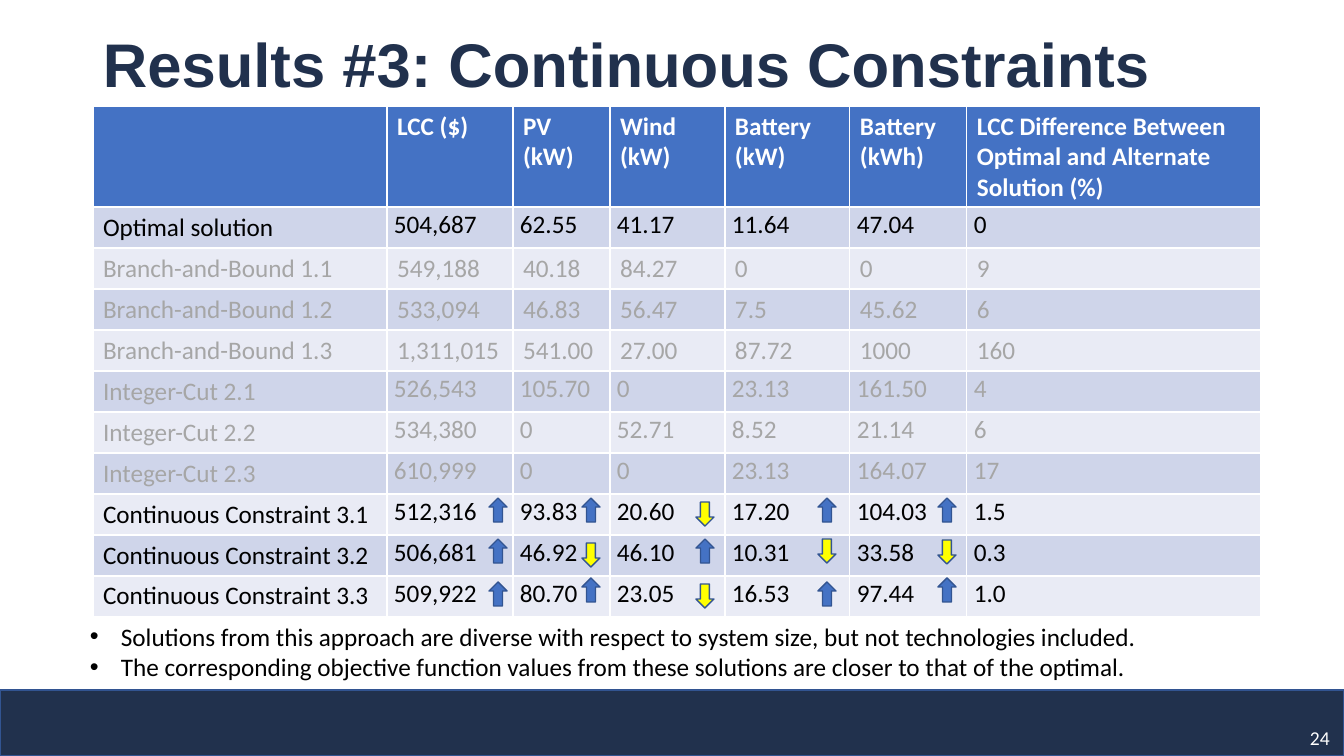
import pptx
import pptx.util
import pptx.dml.color
import pptx.enum.shapes
import pptx.enum.text
import lxml.etree

PX = 914400 / 100.8
NAVY, BLUE, EDGE = "21314D", "4472C4", "325491"
WHITE, BLACK, GREY, YELLOW = "FFFFFF", "000000", "A6A6A6", "FFFF00"
BANDS = ("CFD5EA", "E9EBF5")
SHAPE = pptx.enum.shapes.MSO_SHAPE
ANCHOR = pptx.enum.text.MSO_ANCHOR

COLS = (294, 126, 97, 115, 125, 117, 294)
HEAD = ("", "LCC ($)", "PV (kW)", "Wind (kW)", "Battery (kW)", "Battery (kWh)",
        "LCC Difference Between Optimal and Alternate Solution (%)")
ROWS = (
    ("Optimal solution", "504,687", "62.55", "41.17", "11.64", "47.04", "0"),
    ("Branch-and-Bound 1.1", "549,188", "40.18", "84.27", "0", "0", "9"),
    ("Branch-and-Bound 1.2", "533,094", "46.83", "56.47", "7.5", "45.62", "6"),
    ("Branch-and-Bound 1.3", "1,311,015", "541.00", "27.00", "87.72", "1000", "160"),
    ("Integer-Cut 2.1", "526,543", "105.70", "0", "23.13", "161.50", "4"),
    ("Integer-Cut 2.2", "534,380", "0", "52.71", "8.52", "21.14", "6"),
    ("Integer-Cut 2.3", "610,999", "0", "0", "23.13", "164.07", "17"),
    ("Continuous Constraint 3.1", "512,316", "93.83", "20.60", "17.20", "104.03", "1.5"),
    ("Continuous Constraint 3.2", "506,681", "46.92", "46.10", "10.31", "33.58", "0.3"),
    ("Continuous Constraint 3.3", "509,922", "80.70", "23.05", "16.53", "97.44", "1.0"),
)
# Left edge of each arrow column, then top and direction for each constraint row
ARROWS = (
    (489, ((498, "up"), (539, "up"), (582, "up"))),
    (582, ((498, "up"), (543, "down"), (578, "up"))),
    (696, ((502, "down"), (539, "up"), (584, "down"))),
    (818, ((498, "up"), (539, "down"), (582, "up"))),
    (938, ((498, "up"), (540, "down"), (578, "up"))),
)
NOTES = (
    "Solutions from this approach are diverse with respect to system size, "
    "but not technologies included.",
    "The corresponding objective function values from these solutions are "
    "closer to that of the optimal.",
)


def px(n):
    return pptx.util.Emu(round(n * PX))


def rgb(code):
    return pptx.dml.color.RGBColor.from_string(code)


def style(run, size, color, bold=False, face="Calibri"):
    run.font.name = face
    run.font.size = pptx.util.Pt(size)
    run.font.bold = bold
    run.font.color.rgb = rgb(color)


def add_text(slide, box, lines, size, color, bold=False, face="Calibri"):
    frame = slide.shapes.add_textbox(*map(px, box)).text_frame
    frame.word_wrap = True
    frame.text = "\n".join(lines)
    for para in frame.paragraphs:
        for run in para.runs:
            style(run, size, color, bold, face)
    return frame


def add_shape(slide, kind, box, fill):
    shape = slide.shapes.add_shape(kind, *map(px, box))
    shape.shadow.inherit = False
    shape.fill.solid()
    shape.fill.fore_color.rgb = rgb(fill)
    shape.line.color.rgb = rgb(EDGE)
    shape.line.width = pptx.util.Pt(1)
    return shape


def add_bullet(para):
    props = para._p.get_or_add_pPr()
    props.set("marL", str(px(31)))
    props.set("indent", str(-px(31)))
    tag = pptx.oxml.ns.qn
    lxml.etree.SubElement(props, tag("a:buFont")).set("typeface", "Arial")
    lxml.etree.SubElement(props, tag("a:buChar")).set("char", "•")


def fill_cell(cell, text, fill, color, bold=False):
    cell.fill.solid()
    cell.fill.fore_color.rgb = rgb(fill)
    cell.text = text
    for run in cell.text_frame.paragraphs[0].runs:
        style(run, 18, color, bold)


def add_results(slide):
    high = [101] + [41] * len(ROWS)
    frame = slide.shapes.add_table(len(high), len(COLS), px(93), px(106),
                                   px(sum(COLS)), px(sum(high)))
    table = frame.table
    for col, wide in zip(table.columns, COLS):
        col.width = px(wide)
    for row, tall in zip(table.rows, high):
        row.height = px(tall)
    for c, text in enumerate(HEAD):
        fill_cell(table.cell(0, c), text, BLUE, WHITE, True)
    for r, row in enumerate(ROWS):
        faded = row[0].startswith(("Branch", "Integer"))
        for c, text in enumerate(row):
            cell = table.cell(r + 1, c)
            fill_cell(cell, text, BANDS[r % 2], GREY if faded else BLACK)
            if c and not row[0].startswith("Branch"):
                cell.margin_left = cell.margin_right = px(7)
                cell.margin_top = cell.margin_bottom = 0
                cell.text_frame.paragraphs[0].line_spacing = 1.07


def add_arrows(slide):
    for x, marks in ARROWS:
        for y, way in marks:
            fill = BLUE if way == "up" else YELLOW
            arrow = add_shape(slide, SHAPE.DOWN_ARROW, (x, y, 18, 24), fill)
            arrow.rotation = 180 if way == "up" else 0


def add_footer(slide):
    add_shape(slide, SHAPE.RECTANGLE, (0, 690, 1344, 66), NAVY)
    add_text(slide, (1300, 721, 44, 35), ["24"], 14, WHITE)


def main():
    deck = pptx.Presentation()
    deck.slide_width, deck.slide_height = px(1344), px(756)
    slide = deck.slides.add_slide(deck.slide_layouts[6])
    add_footer(slide)
    title = add_text(slide, (93, -5, 1159, 146),
                     ["Results #3: Continuous Constraints"], 44, NAVY, True, "Arial")
    title.vertical_anchor = ANCHOR.MIDDLE
    title.paragraphs[0].line_spacing = 0.9
    add_results(slide)
    notes = add_text(slide, (80, 616, 1116, 72), NOTES, 18, BLACK)
    for para in notes.paragraphs:
        add_bullet(para)
    add_arrows(slide)
    deck.save("out.pptx")


if __name__ == "__main__":
    main()
